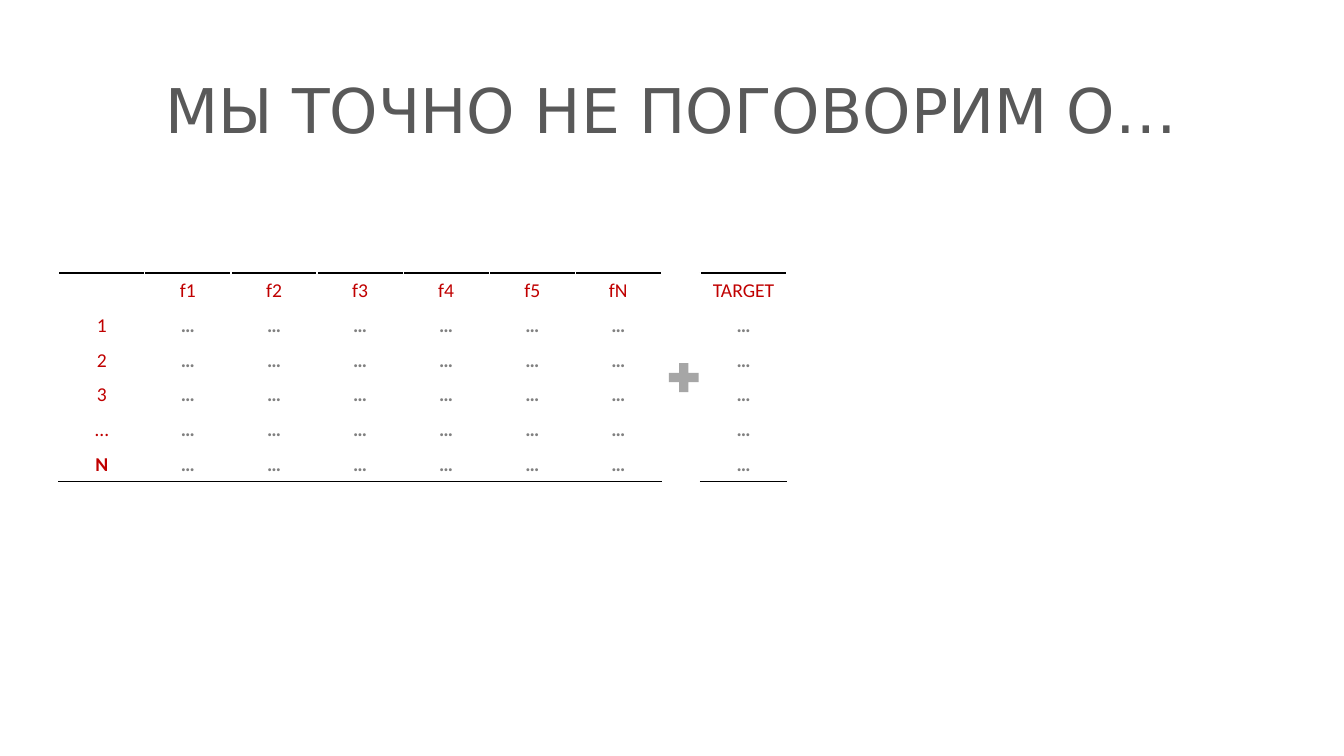
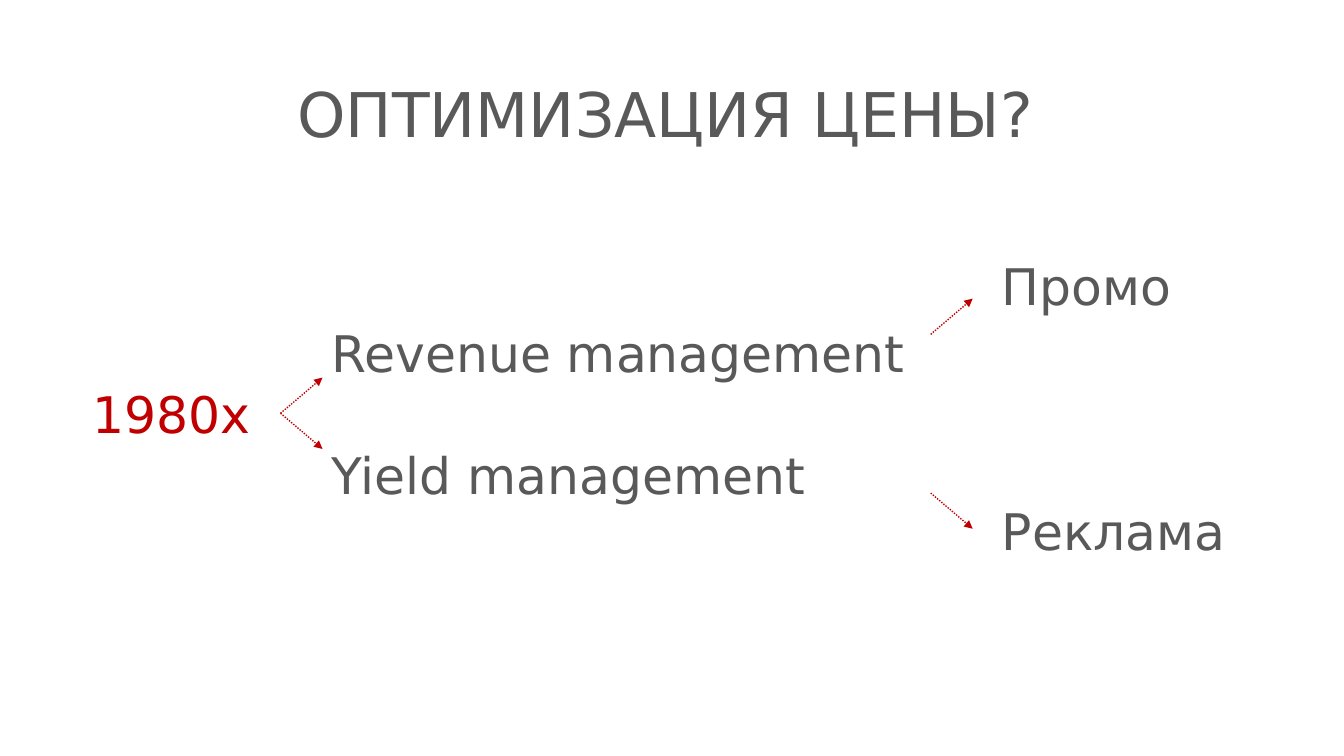
from lxml.etree import SubElement
from pptx import Presentation
from pptx.dml.color import RGBColor
from pptx.enum.dml import MSO_LINE
from pptx.enum.shapes import MSO_CONNECTOR, MSO_SHAPE
from pptx.enum.text import MSO_ANCHOR, PP_ALIGN
from pptx.oxml import parse_xml
from pptx.oxml.ns import nsdecls, qn
from pptx.util import Inches, Pt

RED = RGBColor(0xC0, 0x00, 0x00)
DARK = RGBColor(0x59, 0x59, 0x59)
GRAY = RGBColor(0x80, 0x80, 0x80)
PLUS = RGBColor(0xA6, 0xA6, 0xA6)
BLACK = RGBColor(0x00, 0x00, 0x00)
WHITE = RGBColor(0xFF, 0xFF, 0xFF)

prs = Presentation()
prs.slide_width, prs.slide_height = Inches(13.333), Inches(7.5)
COL, ROW = prs.slide_width / 160, prs.slide_height / 90


def place(x, y, w, h):
    return int(x * COL), int(y * ROW), int(w * COL), int(h * ROW)


def add_text(s, area, text, size, color, gap=0):
    tf = s.shapes.add_textbox(*place(*area)).text_frame
    tf.word_wrap = True
    tf.text = text
    for i, p in enumerate(tf.paragraphs):
        p.space_before = Pt(gap if i else 0)
        for r in p.runs:
            r.font.name, r.font.size = "DejaVu Sans", Pt(size)
            r.font.color.rgb = color
    return tf


titles = [
    ("МЫ ТОЧНО НЕ ПОГОВОРИМ О…", (11, 4.8, 138, 17.4)),
    ("ОПТИМИЗАЦИЯ ЦЕНЫ?", (6.7, 5.3, 145.1, 17.4)),
]
for title, area in titles:
    s = prs.slides.add_slide(prs.slide_layouts[6])
    tf = add_text(s, area, title, 44, DARK)
    tf.vertical_anchor = MSO_ANCHOR.MIDDLE
    tf.paragraphs[0].alignment = PP_ALIGN.CENTER
    tf.paragraphs[0].line_spacing = 0.9
data_slide, price_slide = prs.slides

CELL_W, CELL_H, TABLE_TOP = 10.25, 4.14, 32.5
labels = ["1", "2", "3", "…", "N"]
features = [["", "f1", "f2", "f3", "f4", "f5", "fN"]]
features += [[label] + ["…"] * 6 for label in labels]
target = [["TARGET"]] + [["…"] for _ in labels]

for left, rows in ((7, features), (83.4, target)):
    n, m = len(rows), len(rows[0])
    area = place(left, TABLE_TOP, m * CELL_W, n * CELL_H)
    tbl = data_slide.shapes.add_table(n, m, *area).table
    tbl.first_row = tbl.horz_banding = False
    for i, row in enumerate(rows):
        for j, text in enumerate(row):
            cell = tbl.cell(i, j)
            cell.fill.solid()
            cell.fill.fore_color.rgb = WHITE
            cell.vertical_anchor = MSO_ANCHOR.MIDDLE
            cell.margin_left = cell.margin_right = cell.margin_top = Inches(0.01)
            cell.margin_bottom = 0
            p = cell.text_frame.paragraphs[0]
            p.text = text
            p.alignment = PP_ALIGN.CENTER
            header = i == 0 or (j == 0 and m > 1)
            for r in p.runs:
                r.font.name, r.font.size = "Calibri", Pt(14)
                r.font.bold = not header or text == "N"
                r.font.color.rgb = RED if header else GRAY
            if i in (0, n - 1):
                side, width = ("lnT", 2.25) if i == 0 else ("lnB", 1.5)
                cell._tc.get_or_add_tcPr().insert(0, parse_xml(
                    f'<a:{side} {nsdecls("a")} w="{Pt(width)}"><a:solidFill>'
                    f'<a:srgbClr val="{BLACK}"/></a:solidFill></a:{side}>'))

plus = data_slide.shapes.add_shape(MSO_SHAPE.MATH_PLUS, *place(79, 42.6, 4.8, 4.7))
plus.shadow.inherit = False
plus.fill.solid()
plus.fill.fore_color.rgb = PLUS
plus.line.fill.background()

add_text(price_slide, (38.3, 37.7, 72.5, 23), "Revenue management\nYield management", 36, DARK, 44)
add_text(price_slide, (9.8, 45, 23.5, 8.5), "1980х", 36, RED)
add_text(price_slide, (118.1, 29.8, 37, 37.6), "Промо\nРеклама", 36, DARK, 132)

RUN, RISE = 5, 4.25
for x, y, way in ((33.4, 49.2, -1), (33.4, 49.2, 1), (110.8, 39.8, -1), (110.8, 58.7, 1)):
    ends = place(x, y, x + RUN, y + way * RISE)
    arrow = price_slide.shapes.add_connector(MSO_CONNECTOR.STRAIGHT, *ends)
    arrow.line.color.rgb = RED
    arrow.line.width = Pt(1)
    arrow.line.dash_style = MSO_LINE.ROUND_DOT
    SubElement(arrow.line._get_or_add_ln(), qn("a:tailEnd"), type="triangle")
    SubElement(arrow._element.spPr, qn("a:effectLst"))

prs.save("out.pptx")
